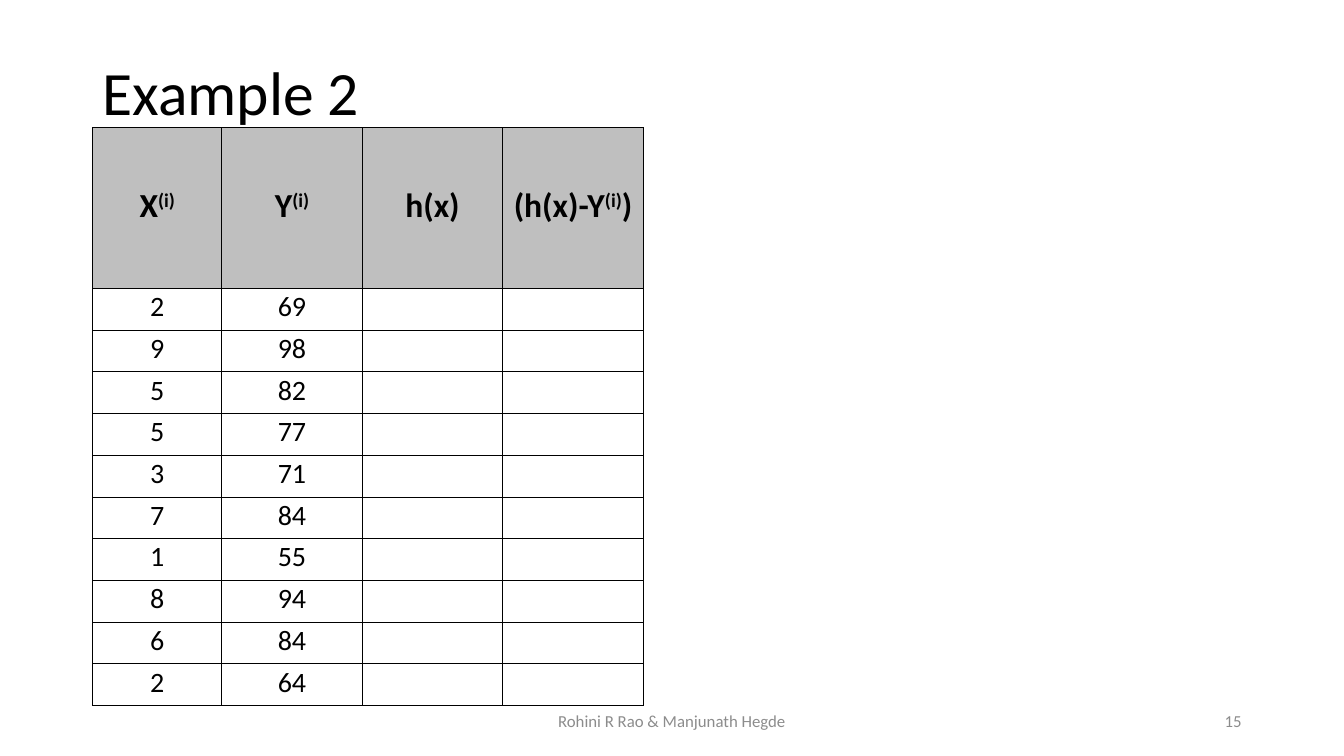
from dataclasses import dataclass

from lxml import etree
from pptx import Presentation
from pptx.dml.color import RGBColor
from pptx.enum.text import MSO_ANCHOR, PP_ALIGN
from pptx.oxml.ns import qn
from pptx.util import Pt

MIDDLE = MSO_ANCHOR.MIDDLE
LEFT, CENTER, RIGHT = PP_ALIGN.LEFT, PP_ALIGN.CENTER, PP_ALIGN.RIGHT
TITLE_ONLY = 5


@dataclass(frozen=True)
class Theme:
    """Fonts, colours and type sizes of the slide."""
    font: str = "Calibri"
    ink: RGBColor = RGBColor(0x00, 0x00, 0x00)
    muted: RGBColor = RGBColor(0x8C, 0x8C, 0x8C)
    header_fill: RGBColor = RGBColor(0xBF, 0xBF, 0xBF)
    title_size: int = 44
    header_size: int = 24
    body_size: int = 20
    footer_size: int = 12
    border_width: float = 0.5


THEME = Theme()
HEADERS = [["X", "(i)"], ["Y", "(i)"], ["h(x)"], ["(h(x)-Y", "(i)", ")"]]
SAMPLES = [(2, 69), (9, 98), (5, 82), (5, 77), (3, 71),
           (7, 84), (1, 55), (8, 94), (6, 84), (2, 64)]
COLUMN_WIDTHS = [92.16, 100.4, 100.4, 100.4]
HEADER_HEIGHT, ROW_HEIGHT = 114.8, 29.8


def style_font(font, size, color, bold=False):
    """Apply the theme font with a size, colour and weight."""
    font.name = THEME.font
    font.size = Pt(size)
    font.color.rgb = color
    font.bold = bold


def add_title(page, text):
    """Fill and place the title placeholder."""
    title = page.shapes.title
    title.left, title.top, title.width, title.height = Pt(66), Pt(15.8), Pt(828), Pt(104.4)
    title.text_frame.text = text
    title.text_frame.vertical_anchor = MIDDLE
    para = title.text_frame.paragraphs[0]
    para.alignment = LEFT
    para.line_spacing = 0.9
    style_font(para.runs[0].font, THEME.title_size, THEME.ink)


def add_footer(page, text, left, width, alignment):
    """Add one muted text box on the footer line."""
    box = page.shapes.add_textbox(Pt(left), Pt(500.5), Pt(width), Pt(28.75))
    box.text_frame.word_wrap = True
    box.text_frame.text = text
    box.text_frame.vertical_anchor = MIDDLE
    para = box.text_frame.paragraphs[0]
    para.alignment = alignment
    style_font(para.runs[0].font, THEME.footer_size, THEME.muted)


def set_borders(cell):
    """Draw a thin line on all four sides of a cell."""
    properties = cell._tc.get_or_add_tcPr()
    for side in ("a:lnL", "a:lnR", "a:lnT", "a:lnB"):
        line = etree.SubElement(properties, qn(side), w=str(Pt(THEME.border_width)))
        fill = etree.SubElement(line, qn("a:solidFill"))
        etree.SubElement(fill, qn("a:srgbClr"), val=str(THEME.ink))


def fill_cell(cell, parts, size, bold=False, fill_color=None):
    """Write text parts into a cell, raising each "(i)" as a superscript."""
    set_borders(cell)
    if fill_color is None:
        cell.fill.background()
    else:
        cell.fill.solid()
        cell.fill.fore_color.rgb = fill_color
    cell.vertical_anchor = MIDDLE
    cell.margin_left = cell.margin_right = cell.margin_top = Pt(0.7)
    cell.margin_bottom = Pt(3.6)
    para = cell.text_frame.paragraphs[0]
    para.alignment = CENTER
    for part in parts:
        span = para.add_run()
        span.text = part
        style_font(span.font, size, THEME.ink, bold)
        if part == "(i)":
            span._r.get_or_add_rPr().set("baseline", "30000")


def add_sample_table(page):
    """Add the table of samples with two columns left to work out."""
    heights = [HEADER_HEIGHT] + [ROW_HEIGHT] * len(SAMPLES)
    frame = page.shapes.add_table(len(heights), len(HEADERS), Pt(66.24), Pt(91.2),
                                  Pt(sum(COLUMN_WIDTHS)), Pt(sum(heights)))
    table = frame.table
    table.first_row = table.horz_banding = False
    for column, width in zip(table.columns, COLUMN_WIDTHS):
        column.width = Pt(width)
    for row, height in zip(table.rows, heights):
        row.height = Pt(height)
    for cell, parts in zip(table.rows[0].cells, HEADERS):
        fill_cell(cell, parts, THEME.header_size, True, THEME.header_fill)
    for row_index, sample in enumerate(SAMPLES, start=1):
        contents = [[str(value)] for value in sample] + [[], []]
        for cell, parts in zip(table.rows[row_index].cells, contents):
            fill_cell(cell, parts, THEME.body_size)


def main():
    """Build the slide and save the deck."""
    deck = Presentation()
    deck.slide_width, deck.slide_height = Pt(960), Pt(540)
    page = deck.slides.add_slide(deck.slide_layouts[TITLE_ONLY])
    add_title(page, "Example 2")
    add_sample_table(page)
    add_footer(page, "Rohini R Rao & Manjunath Hegde", 318, 324, CENTER)
    add_footer(page, "15", 678, 216, RIGHT)
    deck.save("out.pptx")


if __name__ == "__main__":
    main()
